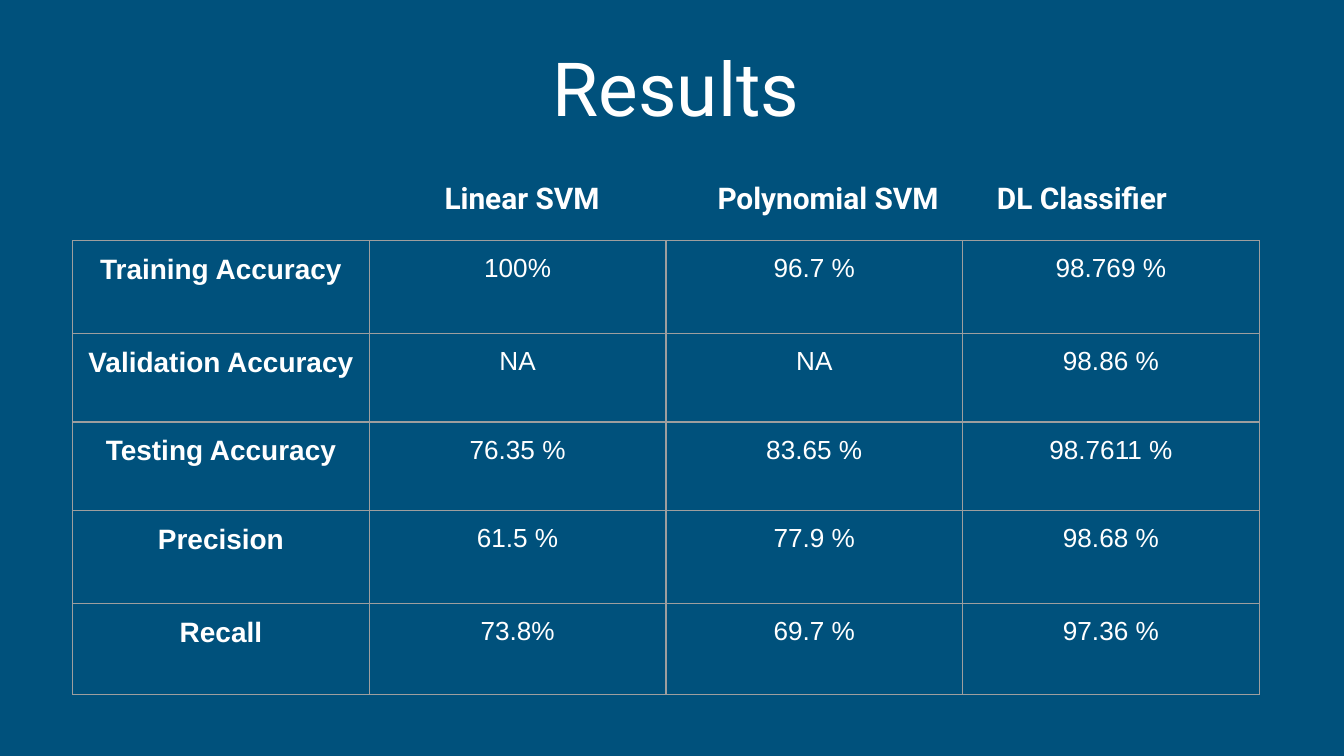
"""Build the classifier results slide."""
from lxml import etree
from pptx import Presentation
from pptx import util as u
from pptx.dml.color import RGBColor
from pptx.enum import text
from pptx.oxml.ns import qn

TITLE = "Results"
HEADERS = [("Linear SVM", 3.21, 1.54), ("Polynomial SVM", 5.24, 1.92), ("DL Classifier", 7.32, 1.74)]
ROWS = [
    ("Training Accuracy", "100%", "96.7 %", "98.769 %"),
    ("Validation Accuracy", "NA", "NA", "98.86 %"),
    ("Testing Accuracy", "76.35 %", "83.65 %", "98.7611 %"),
    ("Precision", "61.5 %", "77.9 %", "98.68 %"),
    ("Recall", "73.8%", "69.7 %", "97.36 %"),
]
ROW_HEIGHTS = [0.69, 0.66, 0.66, 0.69, 0.68]
TABLE_WIDTH = 8.83
BACK, INK, RULE = "00517C", "FFFFFF", "9E9E9E"


def rgb(value):
    return RGBColor.from_string(value)


def write(tf, words, size, font, bold=False, align=text.PP_ALIGN.CENTER):
    p = tf.paragraphs[0]
    p.alignment = align
    r = p.add_run()
    r.text = words
    r.font.size, r.font.name, r.font.bold = u.Pt(size), font, bold
    r.font.color.rgb = rgb(INK)


def set_margins(box):
    box.margin_left = box.margin_right = box.margin_top = box.margin_bottom = u.Inches(0.1)


def set_frame(tf):
    set_margins(tf)
    tf.word_wrap = True
    tf.auto_size = text.MSO_AUTO_SIZE.SHAPE_TO_FIT_TEXT
    tf.vertical_anchor = text.MSO_ANCHOR.TOP


def set_borders(cell):
    tcPr = cell._tc.get_or_add_tcPr()
    for i, side in enumerate(("lnL", "lnR", "lnT", "lnB")):
        ln = etree.Element(qn(f"a:{side}"), w=str(u.Pt(0.75)))
        fill = etree.SubElement(ln, qn("a:solidFill"))
        etree.SubElement(fill, qn("a:srgbClr"), val=RULE)
        tcPr.insert(i, ln)


def add_title(s):
    sp = s.shapes.title
    sp.left, sp.top, sp.width, sp.height = map(u.Inches, (0.06, 0.21, 9.94, 0.88))
    set_frame(sp.text_frame)
    write(sp.text_frame, TITLE, 40, "Roboto")


def add_results(s):
    size = map(u.Inches, (0.54, 1.79, TABLE_WIDTH, sum(ROW_HEIGHTS)))
    table = s.shapes.add_table(len(ROWS), len(ROWS[0]), *size).table
    table.first_row = table.horz_banding = False
    for col in table.columns:
        col.width = u.Inches(TABLE_WIDTH / len(ROWS[0]))
    for row, height, values in zip(table.rows, ROW_HEIGHTS, ROWS):
        row.height = u.Inches(height)
        for i, (cell, value) in enumerate(zip(row.cells, values)):
            set_margins(cell)
            cell.fill.background()
            set_borders(cell)
            write(cell.text_frame, value, 14 if i else 15, "Arial", bold=i == 0)


def add_headers(s):
    for label, left, width in HEADERS:
        sp = s.shapes.add_textbox(*map(u.Inches, (left, 1.24, width, 0.47)))
        set_frame(sp.text_frame)
        write(sp.text_frame, label, 16, "Roboto", True, text.PP_ALIGN.LEFT)


def main():
    prs = Presentation()
    prs.slide_width = u.Inches(10)
    prs.slide_height = prs.slide_width * 9 // 16
    s = prs.slides.add_slide(prs.slide_layouts[5])
    s.background.fill.solid()
    s.background.fill.fore_color.rgb = rgb(BACK)
    add_title(s)
    add_results(s)
    add_headers(s)
    prs.save("out.pptx")


if __name__ == "__main__":
    main()
